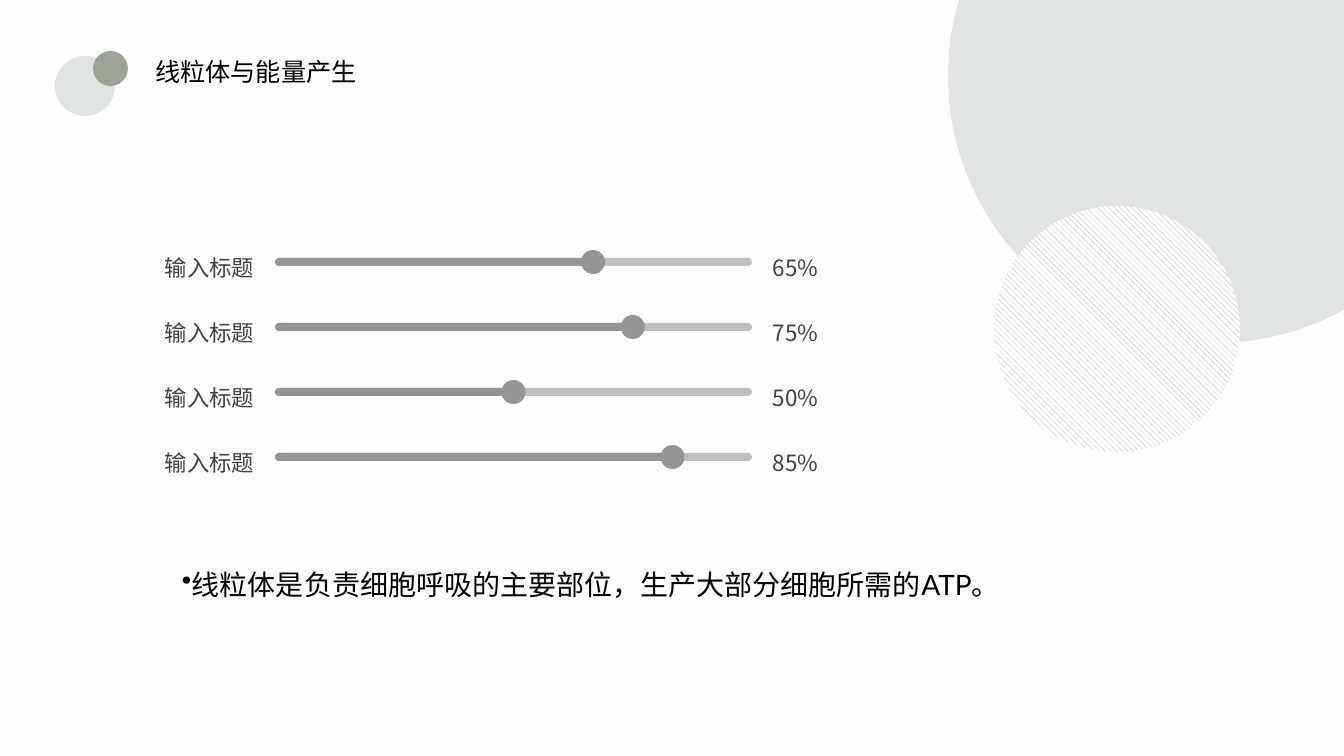
from pptx import Presentation
from pptx.dml.color import RGBColor
from pptx.enum.dml import MSO_PATTERN
from pptx.enum.shapes import MSO_SHAPE
from pptx.enum.text import MSO_ANCHOR, MSO_AUTO_SIZE, PP_ALIGN
from pptx.oxml.ns import qn
from pptx.util import Pt
from lxml import etree

OVAL, ROUNDED = MSO_SHAPE.OVAL, MSO_SHAPE.ROUNDED_RECTANGLE
LEFT, RIGHT = PP_ALIGN.LEFT, PP_ALIGN.RIGHT
TOP, GROW = MSO_ANCHOR.TOP, MSO_AUTO_SIZE.SHAPE_TO_FIT_TEXT
STRIPES = MSO_PATTERN.WIDE_DOWNWARD_DIAGONAL

TITLE = "线粒体与能量产生"
BULLET = "线粒体是负责细胞呼吸的主要部位，生产大部分细胞所需的ATP。"
SLIDERS = [
    ("输入标题", "65%", 8),
    ("输入标题", "75%", 9),
    ("输入标题", "50%", 6),
    ("输入标题", "85%", 10),
]
TRACK_STEPS = 12
COLORS = {
    "background": "FDFDFD", "pale": "E1E5E2", "sage": "9AA394", "white": "FFFFFF",
    "track": "BFBFBF", "filled": "929591", "label": "404040", "black": "000000",
}
CJK_FONT, BODY_FONT = "Noto Sans CJK SC", "Lato"

PX = 914400 / 100.8
TRACK_LEFT, TRACK_TOP, TRACK_WIDTH, TRACK_HEIGHT = 275, 258, 477, 8
ROW_STEP, KNOB = 65, 24
LABEL_RISE, LABEL_HEIGHT = 16, 41


def emu(*lengths):
    return [round(length * PX) for length in lengths]


def color(name):
    return RGBColor.from_string(COLORS[name])


def add_figure(page, kind, box, fill):
    figure = page.shapes.add_shape(kind, *emu(*box))
    figure.shadow.inherit = False
    figure.fill.solid()
    figure.fill.fore_color.rgb = color(fill)
    figure.line.fill.background()
    if kind == ROUNDED:
        figure.adjustments[0] = 0.5
    return figure


def write(shape, text, size, font, ink, wrap=False, bullet=None, **layout):
    frame = shape.text_frame
    for name, value in dict(word_wrap=wrap, auto_size=GROW, vertical_anchor=TOP).items():
        setattr(frame, name, value)
    para = frame.paragraphs[0]
    for name, value in layout.items():
        setattr(para, name, value)
    if bullet:
        etree.SubElement(para._p.get_or_add_pPr(), qn("a:buChar"), char=bullet)
    span = para.add_run()
    span.text = text
    for name, value in dict(size=Pt(size), name=font, bold=False).items():
        setattr(span.font, name, value)
    span.font.color.rgb = color(ink)
    etree.SubElement(span._r.get_or_add_rPr(), qn("a:ea"), typeface=CJK_FONT)


def add_slider(page, row, label, percent, steps):
    top = TRACK_TOP + row * ROW_STEP
    filled = TRACK_WIDTH * steps / TRACK_STEPS
    for width, fill in ((TRACK_WIDTH, "track"), (filled, "filled")):
        add_figure(page, ROUNDED, (TRACK_LEFT, top, width, TRACK_HEIGHT), fill)
    knob_left = TRACK_LEFT + filled - KNOB / 2
    knob_top = top + (TRACK_HEIGHT - KNOB) / 2
    add_figure(page, OVAL, (knob_left, knob_top, KNOB, KNOB), "filled")
    for text, left, width, side in ((label, 153, 111, RIGHT), (percent, 763, 66, LEFT)):
        box = page.shapes.add_textbox(*emu(left, top - LABEL_RISE, width, LABEL_HEIGHT))
        write(box, text, 16, CJK_FONT, "label", alignment=side,
              line_spacing=1.25, space_after=Pt(8))


def main():
    deck = Presentation()
    deck.slide_width, deck.slide_height = emu(1344, 756)
    page = deck.slides.add_slide(deck.slide_layouts[5])
    page.background.fill.solid()
    page.background.fill.fore_color.rgb = color("background")

    title = page.shapes.title
    title.left, title.top, title.width, title.height = emu(145, 51, 291, 65)
    write(title, TITLE, 18, CJK_FONT, "black", alignment=LEFT)

    add_figure(page, OVAL, (55, 56, 60, 60), "pale")
    add_figure(page, OVAL, (93, 51, 35, 35), "sage")
    for row, slider in enumerate(SLIDERS):
        add_slider(page, row, *slider)

    body = page.shapes.add_textbox(*emu(172, 554, 1092, 78))
    write(body, BULLET, 20, BODY_FONT, "black", wrap=True, bullet="•", line_spacing=1.25)

    add_figure(page, OVAL, (948, -191, 534, 534), "pale")
    striped = add_figure(page, OVAL, (994, 206, 246, 246), "white")
    striped.fill.patterned()
    striped.fill.pattern = STRIPES
    striped.fill.fore_color.rgb = color("sage")
    striped.fill.back_color.rgb = color("white")

    deck.save("out.pptx")


if __name__ == "__main__":
    main()
